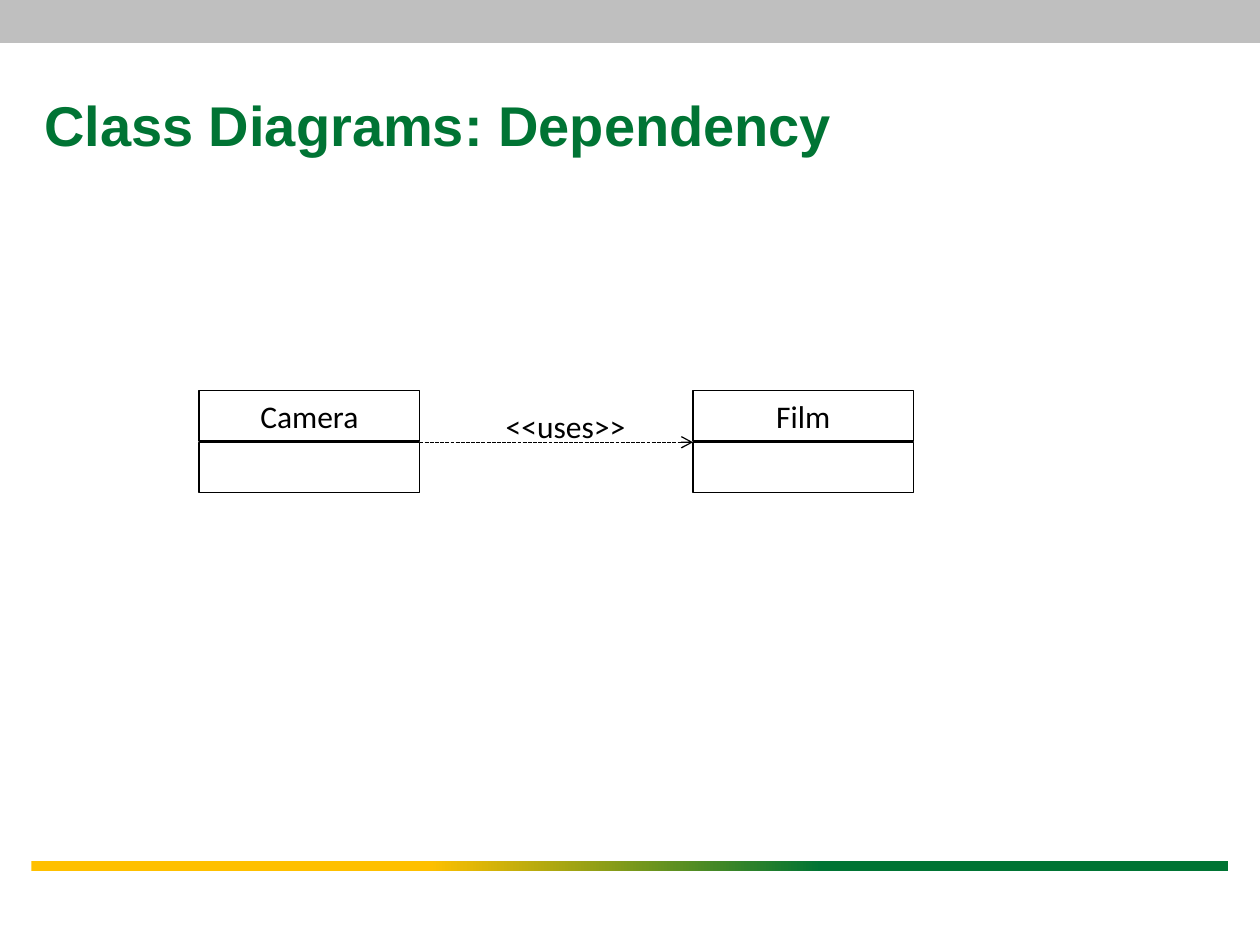
from lxml import etree
from pptx import Presentation
from pptx import util as u
from pptx.dml.color import RGBColor
from pptx.enum import dml, shapes, text
from pptx.oxml.ns import qn

BLACK, GREEN, GOLD, GREY = "000000", "007434", "FFC000", "BFBFBF"
CLASS_WIDTH, CLASS_TOP = 1.75, 3.1
ROW_HEIGHT, ROW_PITCH = 0.4, 0.41
CLASSES = {"Camera": 1.58, "Film": 5.5}


def color(value):
    return RGBColor.from_string(value)


def inches(*lengths):
    return [u.Inches(length) for length in lengths]


def style_text(frame, words, size, font, hue, align, bold=False):
    paragraph = frame.paragraphs[0]
    paragraph.text = words
    paragraph.alignment = align
    paragraph.font.size = u.Pt(size)
    paragraph.font.name = font
    paragraph.font.bold = bold
    paragraph.font.color.rgb = color(hue)


def add_rectangle(slide, box, line=None, width=0.75):
    shape = slide.shapes.add_shape(shapes.MSO_SHAPE.RECTANGLE, *inches(*box))
    shape.shadow.inherit = False
    shape.fill.background()
    if line:
        shape.line.color.rgb = color(line)
        shape.line.width = u.Pt(width)
    else:
        shape.line.fill.background()
    return shape


def add_bands(slide, width):
    header = add_rectangle(slide, (0, 0, width, 0.33), GREY, 2)
    header.fill.solid()
    header.fill.fore_color.rgb = color(GREY)
    footer = add_rectangle(slide, (0.25, 6.83, width - 0.5, 0.08))
    footer.fill.gradient()
    footer.fill.gradient_angle = 0
    for stop, position, hue in zip(footer.fill.gradient_stops, (0.33, 0.66), (GOLD, GREEN)):
        stop.position = position
        stop.color.rgb = color(hue)


def add_title(slide, box, words):
    title = slide.shapes.title
    title.left, title.top, title.width, title.height = inches(*box)
    frame = title.text_frame
    frame.auto_size = text.MSO_AUTO_SIZE.NONE
    frame.vertical_anchor = text.MSO_ANCHOR.MIDDLE
    style_text(frame, words, 32, "Arial", GREEN, text.PP_ALIGN.LEFT, True)


def add_class(slide, left, top, name):
    heading, body = [
        add_rectangle(slide, (left, top + row * ROW_PITCH, CLASS_WIDTH, ROW_HEIGHT), BLACK)
        for row in range(2)
    ]
    style_text(heading.text_frame, name, 18, "Calibri", BLACK, text.PP_ALIGN.CENTER)


def add_dependency(slide, start, end, y, label):
    connector = slide.shapes.add_connector(
        shapes.MSO_CONNECTOR.STRAIGHT, *inches(start, y, end, y))
    connector.line.color.rgb = color(BLACK)
    connector.line.width = u.Pt(0.75)
    connector.line.dash_style = dml.MSO_LINE.SQUARE_DOT
    properties = connector.element.spPr
    etree.SubElement(properties.find(qn("a:ln")), qn("a:tailEnd"), type="arrow")
    etree.SubElement(properties, qn("a:effectLst"))

    label_width = 1.16
    left = (start + end) / 2 - label_width / 2 + 0.08
    caption = slide.shapes.add_textbox(*inches(left, y - 0.33, label_width, ROW_HEIGHT))
    caption.text_frame.word_wrap = False
    style_text(caption.text_frame, label, 18, "Calibri", BLACK, text.PP_ALIGN.LEFT)


def main():
    presentation = Presentation()
    presentation.slide_width, presentation.slide_height = inches(10, 7.5)
    slide = presentation.slides.add_slide(presentation.slide_layouts[5])
    add_bands(slide, 10)
    add_title(slide, (0.25, 0.42, 9.5, 1.13), "Class Diagrams: Dependency")
    for name, left in CLASSES.items():
        add_class(slide, left, CLASS_TOP, name)
    add_dependency(slide, CLASSES["Camera"] + CLASS_WIDTH, CLASSES["Film"],
                   CLASS_TOP + ROW_PITCH, "<<uses>>")
    presentation.save("out.pptx")


if __name__ == "__main__":
    main()
